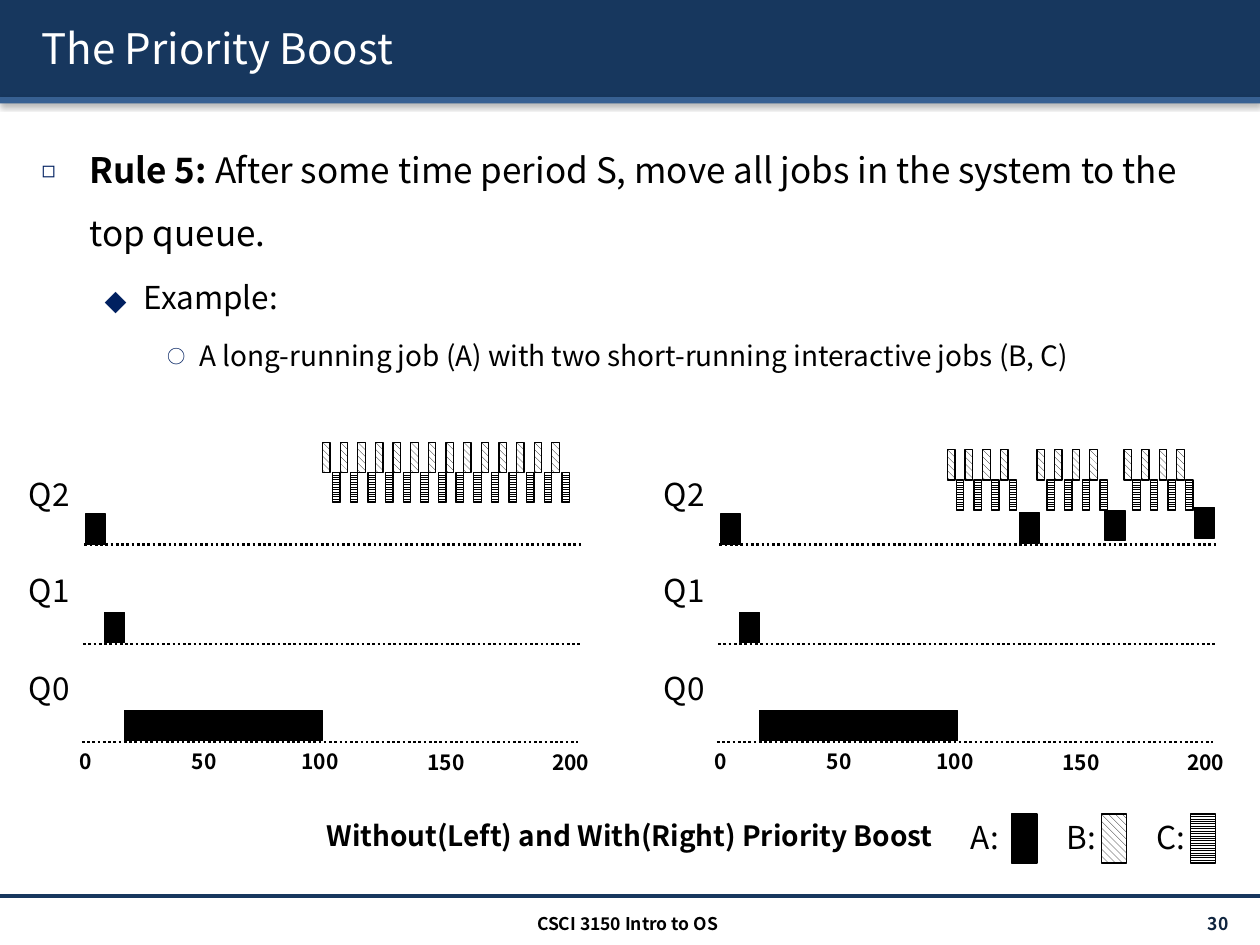
from dataclasses import dataclass

from lxml.etree import SubElement
from pptx import Presentation
from pptx.dml.color import RGBColor
from pptx.enum.dml import MSO_LINE, MSO_PATTERN as Pattern
from pptx.enum.shapes import MSO_CONNECTOR, MSO_SHAPE
from pptx.enum.text import MSO_ANCHOR as Anchor, MSO_AUTO_SIZE, PP_ALIGN as Align
from pptx.oxml import parse_xml
from pptx.oxml.ns import nsdecls, qn
from pptx.util import Inches, Pt


@dataclass(frozen=True)
class Theme:
    font: str = "Noto Sans CJK KR"
    ink: str = "000000"
    paper: str = "FFFFFF"
    navy: str = "17375E"
    blue: str = "376092"
    bullet: str = "002060"
    page_number: str = "0F243E"
    title: int = 24
    levels: tuple = (20, 18, 16)
    label: int = 18
    caption: int = 16
    tick: int = 12
    footer: int = 10


THEME = Theme()
JOB_PATTERNS = {"B": Pattern.WIDE_DOWNWARD_DIAGONAL, "C": Pattern.LIGHT_HORIZONTAL}

# Queue lanes: label, label top, axis left, axis height on the page
LANES = (("Q2", 3.72, 0.67, 4.32), ("Q1", 4.48, 0.66, 5.11), ("Q0", 5.26, 0.65, 5.89))
# Time ticks: label, centre, top, box width
TICKS = (("0", 0.65, 5.89, 0.24), ("50", 1.62, 5.89, 0.47), ("100", 2.54, 5.89, 0.61),
         ("150", 3.54, 5.9, 0.61), ("200", 4.53, 5.9, 0.61))
LONG_JOB = ((0.68, 4.08, 0.16), (0.83, 4.86, 0.16), (0.99, 5.64, 1.57))
AXIS_LENGTH = 3.94
BAR_HEIGHT = 0.24
SLICE_WIDTH = 0.06
SLICE_PITCH = 0.14
PANEL_SHIFT = 5.04


def color(code):
    return RGBColor.from_string(code)


def inches(*lengths):
    return [Inches(length) for length in lengths]


def shadow_effect(blur, distance, opacity):
    return parse_xml(
        f'<a:effectLst {nsdecls("a")}><a:outerShdw blurRad="{Pt(blur)}" '
        f'dist="{Pt(distance)}" dir="5400000" algn="t" rotWithShape="0">'
        f'<a:srgbClr val="{THEME.ink}"><a:alpha val="{opacity * 1000}"/></a:srgbClr>'
        '</a:outerShdw></a:effectLst>')


def add_run(para, text, size, code=THEME.ink, bold=False):
    span = para.add_run()
    span.text = text
    span.font.size = Pt(size)
    span.font.bold = bold
    span.font.color.rgb = color(code)
    span.font.name = THEME.font
    SubElement(span.font._element, qn("a:ea"), typeface=THEME.font)
    return span


def add_label(shapes, place, text, size, align=Align.CENTER, code=THEME.ink,
              bold=False, anchor=Anchor.TOP):
    frame = shapes.add_textbox(*inches(*place)).text_frame
    frame.word_wrap = True
    frame.vertical_anchor = anchor
    para = frame.paragraphs[0]
    para.alignment = align
    add_run(para, text, size, code, bold)


def add_band(shapes, top, height, code):
    band = shapes.add_shape(MSO_SHAPE.RECTANGLE, *inches(0, top, 10, height))
    band.fill.solid()
    band.fill.fore_color.rgb = color(code)
    band.line.fill.background()
    band._element.spPr.append(shadow_effect(3.1, 1.6, 38))


def add_job_bar(shapes, job, left, top, width, height=BAR_HEIGHT):
    bar = shapes.add_shape(MSO_SHAPE.RECTANGLE, *inches(left, top, width, height))
    bar.shadow.inherit = False
    if job in JOB_PATTERNS:
        bar.fill.patterned()
        bar.fill.pattern = JOB_PATTERNS[job]
        bar.fill.back_color.rgb = color(THEME.paper)
    else:
        bar.fill.solid()
    bar.fill.fore_color.rgb = color(THEME.ink)
    bar.line.color.rgb = color(THEME.ink)
    bar.line.width = Pt(0.75)


def add_rule(shapes, left, top, length, code, width, dash=None):
    rule = shapes.add_connector(MSO_CONNECTOR.STRAIGHT,
                                *inches(left, top, left + length, top))
    rule.line.color.rgb = color(code)
    rule.line.width = Pt(width)
    if dash:
        rule.line.dash_style = dash
    SubElement(rule._element.spPr, qn("a:effectLst"))


def place_placeholder(holder, place):
    holder.left, holder.top, holder.width, holder.height = inches(*place)
    holder.text_frame.auto_size = MSO_AUTO_SIZE.NONE
    holder.text_frame.word_wrap = True


def fill_title(holder, text):
    place_placeholder(holder, (0.23, 0.06, 9.61, 0.64))
    holder.text_frame.vertical_anchor = Anchor.MIDDLE
    para = holder.text_frame.paragraphs[0]
    para.alignment = Align.LEFT
    span = add_run(para, text, THEME.title, THEME.paper)
    span.font._element.find(qn("a:solidFill")).addnext(shadow_effect(1, 1.5, 100))


def set_bullet(para, symbol, percent, margin, hanging):
    props = para._p.get_or_add_pPr()
    props.set("marL", str(Inches(margin)))
    props.set("indent", str(-Inches(hanging)))
    tint = SubElement(props, qn("a:buClr"))
    SubElement(tint, qn("a:srgbClr"), val=THEME.bullet)
    SubElement(props, qn("a:buSzPct"), val=str(percent * 1000))
    SubElement(props, qn("a:buFont"), typeface=THEME.font)
    SubElement(props, qn("a:buChar"), char=symbol)


def fill_body(holder, items):
    """Each item is its bullet settings and its (text, bold) runs; levels go down one by one."""
    place_placeholder(holder, (0.23, 0.96, 9.61, 6.02))
    frame = holder.text_frame
    for level, (bullet, runs) in enumerate(items):
        para = frame.add_paragraph() if level else frame.paragraphs[0]
        size = THEME.levels[level]
        para.level = level
        para.line_spacing = 1.5
        para.space_before = Pt(size * 0.2)
        set_bullet(para, *bullet)
        for text, bold in runs:
            add_run(para, text, size, bold=bold)


def add_timeline(page, shift, slices_top, bursts, boosts=()):
    """Bursts are (first B, first C, count); boosts are (left, top) of job A back in Q2."""
    shapes = page.shapes.add_group_shape().shapes
    for name, label_top, left, axis in LANES:
        add_rule(shapes, left + shift, axis, AXIS_LENGTH, THEME.ink, 1.5,
                 MSO_LINE.ROUND_DOT)
        add_label(shapes, (shift - 0.04, label_top, 0.69, 0.4), name, THEME.label,
                  Align.RIGHT)
    for text, centre, top, width in TICKS:
        add_label(shapes, (shift + centre - width / 2, top, width, 0.3), text,
                  THEME.tick, bold=True)
    for left, top, width in LONG_JOB:
        add_job_bar(shapes, "A", left + shift, top, width)
    for first_b, first_c, count in bursts:
        for turn in range(count):
            step = turn * SLICE_PITCH
            add_job_bar(shapes, "B", first_b + step, slices_top, SLICE_WIDTH)
            add_job_bar(shapes, "C", first_c + step, slices_top + BAR_HEIGHT, SLICE_WIDTH)
    for left, top in boosts:
        add_job_bar(shapes, "A", left, top, 0.16)


def add_legend(page):
    shapes = page.shapes.add_group_shape().shapes
    for job, text, left, width, bar_left in (("A", "A: ", 7.56, 0.57, 8.03),
                                             ("B", "B:", 8.35, 0.47, 8.74),
                                             ("C", "C:", 9.06, 0.47, 9.45)):
        add_job_bar(shapes, job, bar_left, 6.46, 0.2, 0.39)
        add_label(shapes, (left, 6.44, width, 0.4), text, THEME.label)


def main():
    deck = Presentation()
    deck.slide_width, deck.slide_height = inches(10, 7.5)
    page = deck.slides.add_slide(deck.slide_layouts[1])
    title, body = page.placeholders
    add_band(page.shapes, 0, 0.77, THEME.navy)
    add_band(page.shapes, 0.77, 0.05, THEME.blue)
    add_rule(page.shapes, 0, 7.11, 10, THEME.navy, 2)
    for holder in (title, body):  # text goes in front of the bands
        page.shapes._spTree.append(holder._element)
    fill_title(title, "The Priority Boost")
    fill_body(body, (
        (("◻", 65, 0.38, 0.38), (("Rule 5:", True), (
            " After some time period S, move all jobs in the system to the top queue.", False))),
        (("⬥", 100, 0.81, 0.31), (("Example:", False),)),
        (("○", 65, 1.25, 0.25), ((
            "A long-running job (A) with two short-running interactive jobs (B, C)", False),)),
    ))
    add_label(page.shapes, (8.71, 7.21, 1.17, 0.24), "30 ", THEME.footer, Align.RIGHT,
              THEME.page_number, True, Anchor.MIDDLE)
    add_label(page.shapes, (3.32, 7.2, 3.32, 0.24), "CSCI 3150 Intro to OS", THEME.footer,
              bold=True)
    add_timeline(page, 0, 3.51, ((2.56, 2.64, 14),))
    add_timeline(page, PANEL_SHIFT, 3.57,
                 ((7.52, 7.59, 4), (8.23, 8.31, 4), (8.92, 8.99, 4)),
                 ((8.09, 4.07), (8.77, 4.05), (9.48, 4.03)))
    add_label(page.shapes, (1.93, 6.45, 6.14, 0.37),
              "Without(Left) and With(Right) Priority Boost", THEME.caption, bold=True)
    add_legend(page)
    deck.save("out.pptx")


if __name__ == "__main__":
    main()
